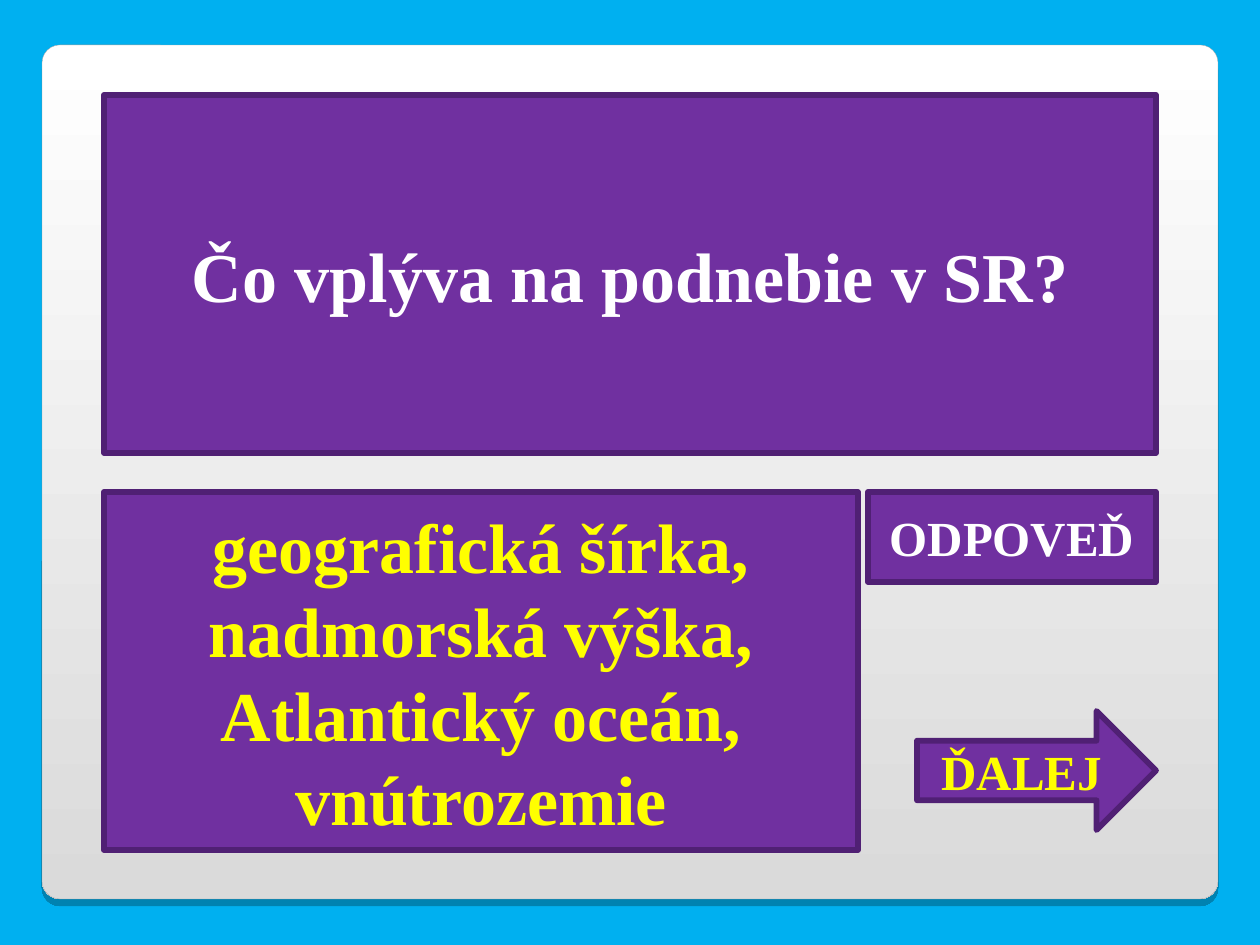
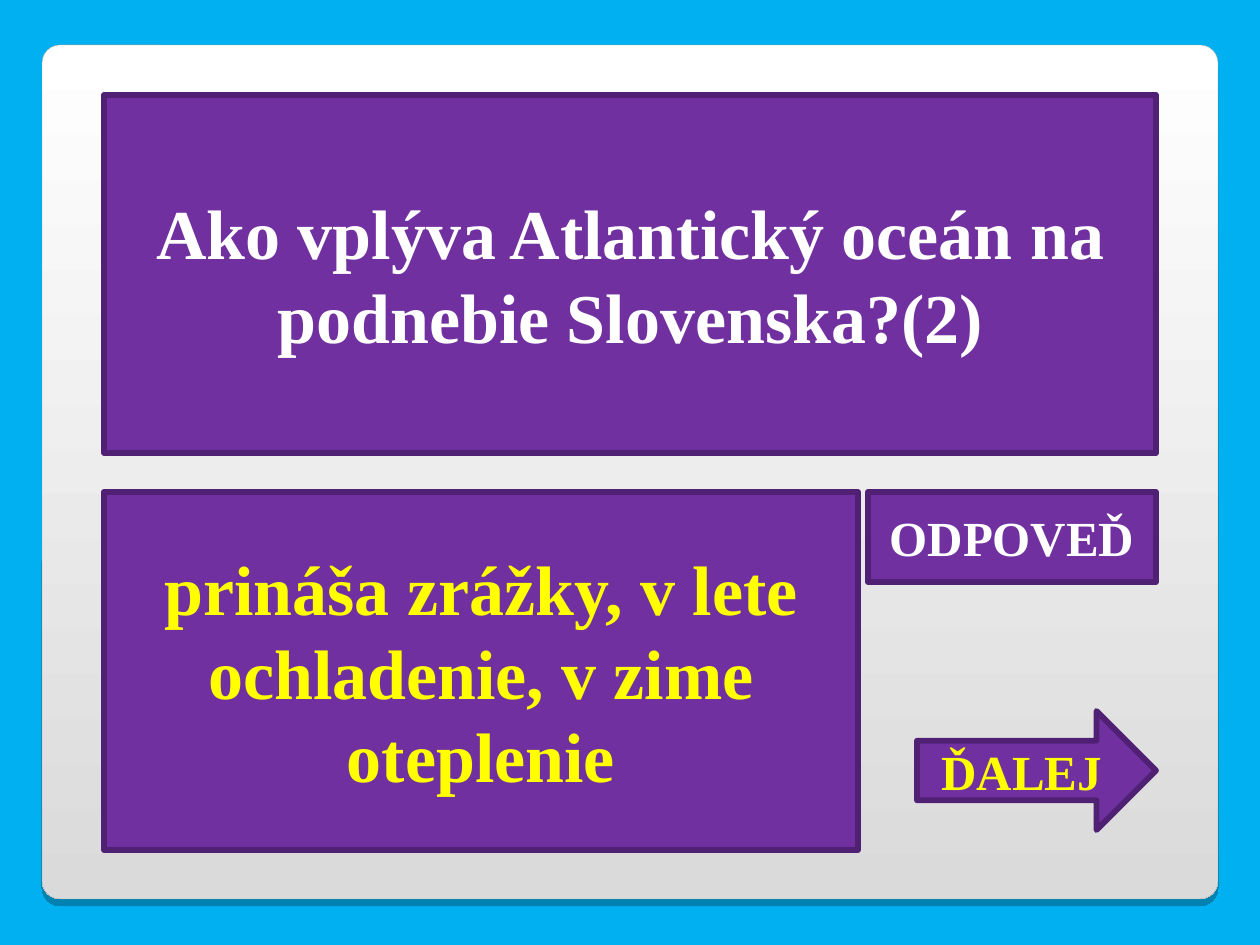
from lxml import etree
from pptx import Presentation
from pptx.dml.color import RGBColor
from pptx.enum.shapes import MSO_SHAPE
from pptx.enum.text import MSO_ANCHOR, MSO_AUTO_SIZE, PP_ALIGN
from pptx.oxml import parse_xml
from pptx.util import Emu, Pt

SCALE = 914400 / 126
FONT = "Times New Roman"
SKY = RGBColor(0x00, 0xB0, 0xF0)
WHITE = RGBColor(0xFF, 0xFF, 0xFF)
SILVER = RGBColor(0xDA, 0xDA, 0xDA)
GREY = RGBColor(0xA4, 0xA3, 0xA3)
PURPLE = RGBColor(0x70, 0x30, 0xA0)
PLUM = RGBColor(0x50, 0x20, 0x74)
YELLOW = RGBColor(0xFF, 0xFF, 0x00)

LEFT, RIGHT = 104, 1156
QUESTION_TOP, ANSWER_TOP, BOX_HEIGHT = 95, 492, 358
ANSWER_WIDTH, BUTTON_WIDTH, ARROW_WIDTH = 754, 288, 239

PANEL_SHADOW = (
    '<a:outerShdw xmlns:a="http://schemas.openxmlformats.org/drawingml/2006/main"'
    ' blurRad="0" dist="50800" dir="5400000" algn="t" rotWithShape="0">'
    '<a:srgbClr val="000000"><a:alpha val="25000"/></a:srgbClr></a:outerShdw>'
)

QUIZ = [
    ("Čo vplýva na podnebie v SR?",
     "geografická šírka, nadmorská výška, Atlantický oceán, vnútrozemie"),
    ("Ako vplýva Atlantický oceán na podnebie Slovenska?(2)",
     "prináša zrážky, v lete ochladenie, v zime oteplenie"),
]


def px(n):
    return Emu(round(n * SCALE))


def add_panel(master, s):
    sp = s.shapes.add_shape(MSO_SHAPE.ROUNDED_RECTANGLE,
                            px(42), px(45), px(1176), px(854))
    sp.adjustments[0] = 0.021
    sp.fill.gradient()
    sp.fill.gradient_angle = 270
    for stop, color in zip(sp.fill.gradient_stops, (WHITE, SILVER)):
        stop.color.rgb = color
    sp.line.color.rgb = GREY
    sp.line.width = Pt(0.17)
    sp.shadow.inherit = False
    effects = sp.element.spPr.find("{*}effectLst")
    effects.append(parse_xml(PANEL_SHADOW))
    master.placeholders[0].element.addprevious(sp.element)


def style_box(sp, text, size, color):
    sp.fill.solid()
    sp.fill.fore_color.rgb = PURPLE
    sp.line.color.rgb = PLUM
    sp.line.width = Pt(3.34)
    tf = sp.text_frame
    tf.text = text
    tf.word_wrap = True
    tf.auto_size = MSO_AUTO_SIZE.NONE
    tf.vertical_anchor = MSO_ANCHOR.MIDDLE
    p = tf.paragraphs[0]
    p.alignment = PP_ALIGN.CENTER
    font = p.runs[0].font
    font.name, font.size, font.bold = FONT, Pt(size), True
    font.color.rgb = color


def add_question(s, text):
    sp = s.shapes.title
    sp.left, sp.top = px(LEFT), px(QUESTION_TOP)
    sp.width, sp.height = px(RIGHT - LEFT), px(BOX_HEIGHT)
    style_box(sp, text, 40, WHITE)


def add_box(s, kind, x, y, w, h, text, size, color):
    sp = s.shapes.add_shape(kind, px(x), px(y), px(w), px(h))
    sp.shadow.inherit = False
    style_box(sp, text, size, color)


def add_quiz_slide(s, question, answer):
    add_question(s, question)
    add_box(s, MSO_SHAPE.RECTANGLE, LEFT, ANSWER_TOP, ANSWER_WIDTH, BOX_HEIGHT,
            answer, 40, YELLOW)
    add_box(s, MSO_SHAPE.RECTANGLE, RIGHT - BUTTON_WIDTH, ANSWER_TOP,
            BUTTON_WIDTH, 90, "ODPOVEĎ", 28, WHITE)
    add_box(s, MSO_SHAPE.RIGHT_ARROW, RIGHT - ARROW_WIDTH, 711,
            ARROW_WIDTH, 119, "ĎALEJ", 28, YELLOW)


def main():
    prs = Presentation()
    prs.slide_width, prs.slide_height = px(1260), px(945)
    master = prs.slide_master
    master.background.fill.solid()
    master.background.fill.fore_color.rgb = SKY
    title_only = prs.slide_layouts[5]
    slides = [prs.slides.add_slide(title_only) for _ in QUIZ]
    add_panel(master, slides[0])
    for s, (question, answer) in zip(slides, QUIZ):
        add_quiz_slide(s, question, answer)
    prs.save("out.pptx")


if __name__ == "__main__":
    main()
